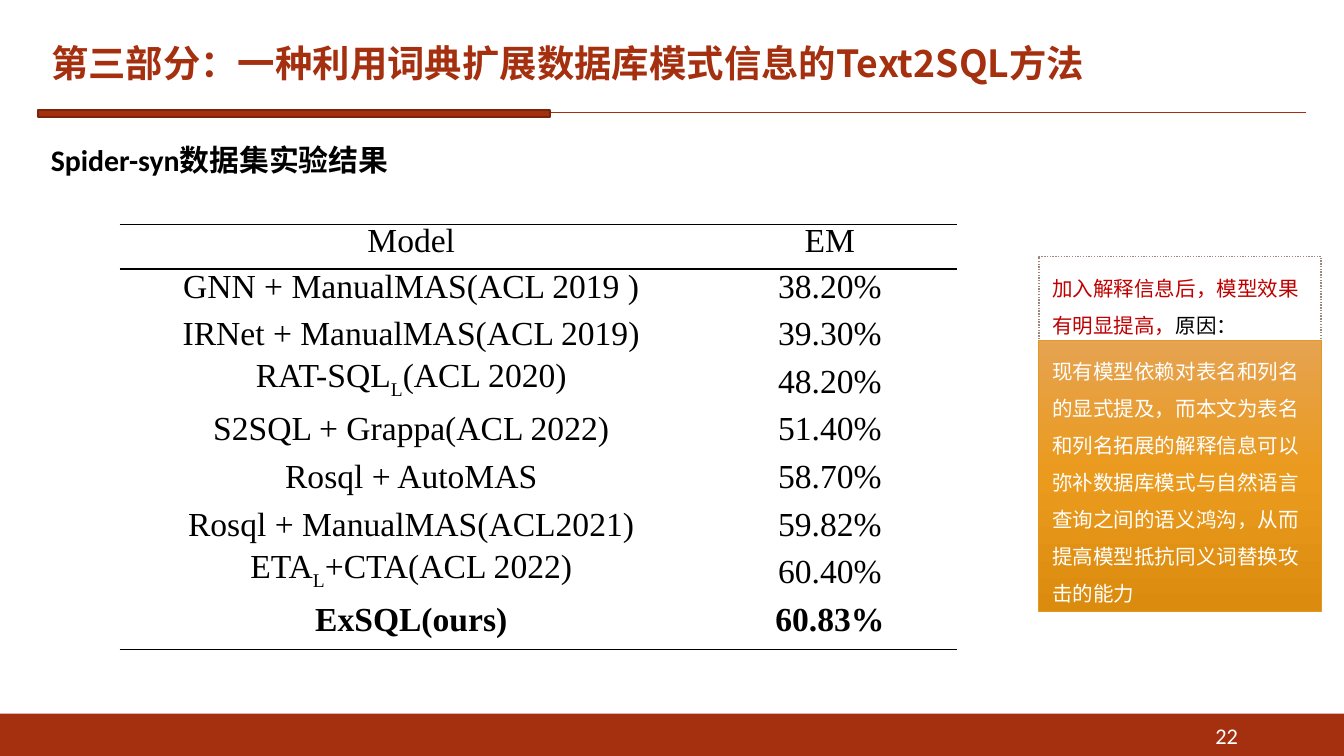
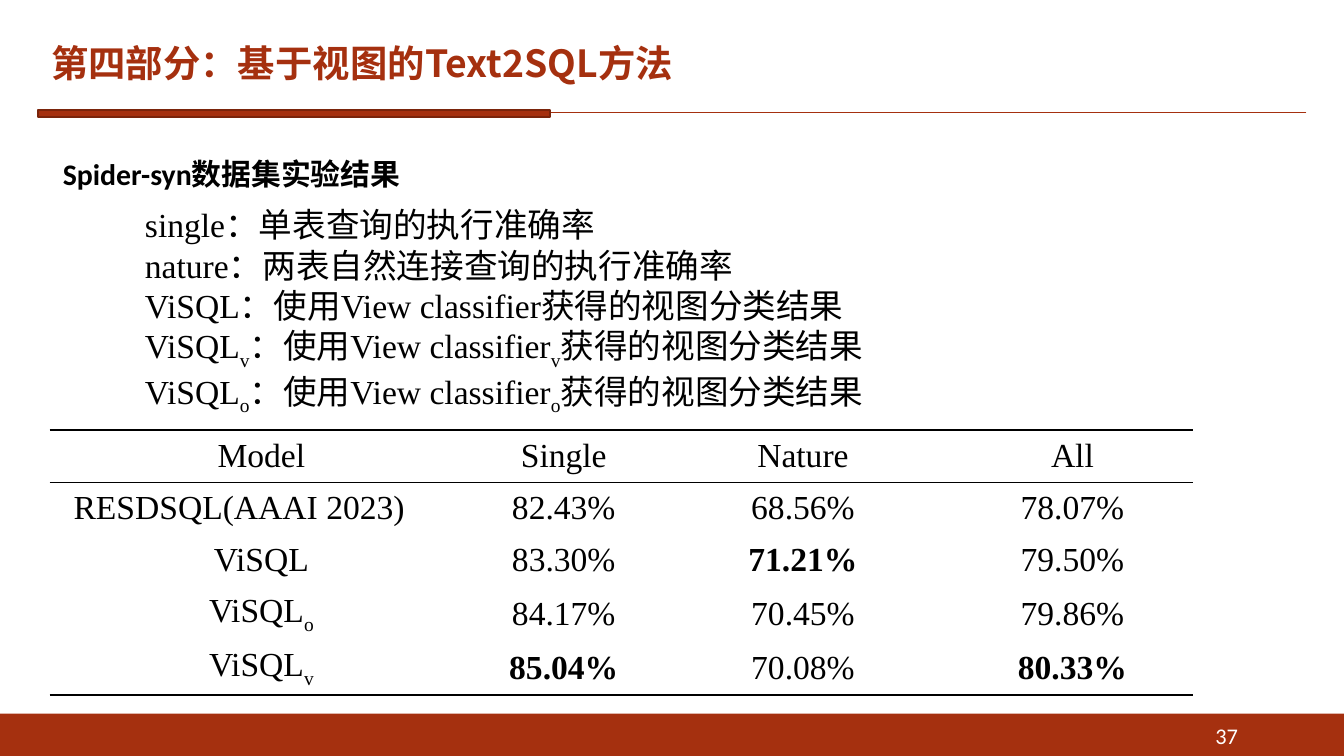
"""Build two Text2SQL result slides with a shared title band, rule and footer."""
import copy

import lxml.etree
import pptx
import pptx.dml.color
import pptx.enum.dml
import pptx.enum.shapes
import pptx.enum.text
import pptx.oxml.ns
import pptx.util

COLORS = {"brand": "A5300F", "edge": "7A240B", "black": "000000", "white": "FFFFFF",
          "red": "C00000", "dots": "9F877D", "amber": "E19825"}
AMBER_STOPS = [(0, "E6A351"), (0.5, "EA9A1C"), (1, "DB8B0E")]
SANS, SERIF, CJK = "Calibri", "Times New Roman", "Noto Sans CJK SC"
WIDTH, MARGIN = 10, 0.28
HEIGHT = WIDTH * 9 / 16
BAND_TOP, RULE_Y = 5.31, 0.84
NO_GRID = "{2D5ABB26-0587-4C30-8999-92F81FD0307C}"

# Text between underscores is subscript; a leading asterisk marks bold.
HEADING = "Spider-syn数据集实验结果"
CALLOUT = ("加入解释信息后，模型效果有明显提高，", "原因：")
REASON = ("现有模型依赖对表名和列名的显式提及，而本文为表名和列名拓展的解释信息可以"
          "弥补数据库模式与自然语言查询之间的语义鸿沟，从而提高模型抵抗同义词替换攻击的能力")
LEGEND = [
    "single：单表查询的执行准确率",
    "nature：两表自然连接查询的执行准确率",
    "ViSQL：使用View classifier获得的视图分类结果",
    "ViSQL_v_：使用View classifier_v_获得的视图分类结果",
    "ViSQL_o_：使用View classifier_o_获得的视图分类结果",
]
SLIDES = [
    {
        "title": "第三部分：一种利用词典扩展数据库模式信息的Text2SQL方法",
        "title_width": 8.82, "heading_at": (0.28, 0.87), "number": "22",
        "table": {
            "at": (0.89, 1.34), "columns": [4.13, 2.1],
            "heights": [0.33] * 2 + [0.35] + [2.84 / 8] * 8,
            "indent": 0.21, "spacing": pptx.util.Pt(14), "flush": [], "rules": [1, 2, 10],
            "rows": [
                ("", ""),
                ("Model", "EM"),
                ("GNN + ManualMAS(ACL 2019 )", "38.20%"),
                ("IRNet + ManualMAS(ACL 2019)", "39.30%"),
                ("RAT-SQL_L_(ACL 2020)", "48.20%"),
                ("S2SQL + Grappa(ACL 2022)", "51.40%"),
                ("Rosql + AutoMAS", "58.70%"),
                ("Rosql + ManualMAS(ACL2021)", "59.82%"),
                ("ETA_L_+CTA(ACL 2022)", "60.40%"),
                ("*ExSQL(ours)", "*60.83%"),
                ("", ""),
            ],
        },
    },
    {
        "title": "第四部分：基于视图的Text2SQL方法",
        "title_width": 6.57, "heading_at": (0.37, 0.98), "number": "37",
        "table": {
            "at": (0.37, 3.2), "columns": [2.82, 1.68, 1.88, 2.13],
            "heights": [0.39, 0.38, 0.4, 0.4, 0.4],
            "indent": 0.33, "spacing": None, "flush": ["RESDSQL(AAAI 2023)"], "rules": [0, 1, 5],
            "rows": [
                ("Model", "Single", "Nature", "All"),
                ("RESDSQL(AAAI 2023)", "82.43%", "68.56%", "78.07%"),
                ("ViSQL", "83.30%", "*71.21%", "79.50%"),
                ("ViSQL_o_", "84.17%", "70.45%", "79.86%"),
                ("ViSQL_v_", "*85.04%", "70.08%", "*80.33%"),
            ],
        },
    },
]


def inches(*lengths):
    return [pptx.util.Inches(length) for length in lengths]


def rgb(value):
    return pptx.dml.color.RGBColor.from_string(value)


def add_child(parent, tag, **attributes):
    return lxml.etree.SubElement(parent, pptx.oxml.ns.qn(tag), **attributes)


def write(para, text, size, font=SANS, color="black", align="LEFT", spacing=None):
    para.alignment = getattr(pptx.enum.text.PP_ALIGN, align)
    para.line_spacing = spacing
    para.font.size = pptx.util.Pt(size)
    para.font.name = font
    para.font.bold = text.startswith("*")
    para.font.color.rgb = rgb(COLORS[color])
    add_child(para.font._element, "a:ea", typeface=CJK)
    for index, piece in enumerate(text.lstrip("*").split("_")):
        if piece:
            span = para.add_run()
            span.text = piece
            if index % 2:
                span.font._element.set("baseline", "-25000")


def add_text(page, at, lines, size, anchor="TOP", grow=True, **style):
    box = page.shapes.add_textbox(*inches(*at))
    frame = box.text_frame
    fit_frame(frame, anchor, grow)
    for index, line in enumerate(lines):
        write(frame.add_paragraph() if index else frame.paragraphs[0], line, size, **style)


def fit_frame(frame, anchor, grow):
    frame.word_wrap = True
    frame.vertical_anchor = getattr(pptx.enum.text.MSO_ANCHOR, anchor)
    sizing = pptx.enum.text.MSO_AUTO_SIZE
    frame.auto_size = sizing.SHAPE_TO_FIT_TEXT if grow else sizing.NONE


def add_box(page, at, fill=None, line=None, weight=1):
    box = page.shapes.add_shape(pptx.enum.shapes.MSO_SHAPE.RECTANGLE, *inches(*at))
    box.shadow.inherit = False
    if fill:
        box.fill.solid()
        box.fill.fore_color.rgb = rgb(COLORS[fill])
    else:
        box.fill.background()
    if line:
        box.line.color.rgb = rgb(COLORS[line])
        box.line.width = pptx.util.Pt(weight)
    else:
        box.line.fill.background()
    return box


def decorate_layout(layout, page):
    band = add_box(page, (0, BAND_TOP, WIDTH, HEIGHT - BAND_TOP), "brand")
    rule = page.shapes.add_connector(pptx.enum.shapes.MSO_CONNECTOR.STRAIGHT,
                                     *inches(WIDTH - MARGIN, RULE_Y, MARGIN, RULE_Y))
    rule.line.color.rgb = rgb(COLORS["brand"])
    rule.line.width = pptx.util.Pt(0.5)
    add_child(rule._element.spPr, "a:effectLst")
    accent = add_box(page, (MARGIN, 0.82, 3.81, 0.05), "brand", "edge")
    for index, part in enumerate((band, rule, accent)):
        layout.shapes._spTree.insert(2 + index, part._element)


def add_border(cell, side, ruled):
    line = add_child(cell._tc.tcPr, side, w=str(pptx.util.Pt(1)))
    if ruled:
        add_child(add_child(line, "a:solidFill"), "a:srgbClr", val=COLORS["black"])
    else:
        add_child(line, "a:noFill")


def add_table(page, table):
    rows, columns, heights = table["rows"], table["columns"], table["heights"]
    frame = page.shapes.add_table(len(rows), len(columns),
                                  *inches(*table["at"], sum(columns), sum(heights)))
    grid = frame.table
    grid.first_row = grid.horz_banding = False
    grid._tbl.tblPr.find(pptx.oxml.ns.qn("a:tableStyleId")).text = NO_GRID
    for column, width in zip(grid.columns, columns):
        column.width = pptx.util.Inches(width)
    for row_index, (texts, height) in enumerate(zip(rows, heights)):
        grid.rows[row_index].height = pptx.util.Inches(height)
        for cell, text in zip(grid.rows[row_index].cells, texts):
            cell.margin_left = cell.margin_right = pptx.util.Inches(0.07)
            cell.margin_top = cell.margin_bottom = 0
            cell.vertical_anchor = pptx.enum.text.MSO_ANCHOR.MIDDLE
            add_border(cell, "a:lnT", row_index in table["rules"])
            add_border(cell, "a:lnB", row_index + 1 in table["rules"])
            cell.fill.background()
            para = cell.text_frame.paragraphs[0]
            indent = 0 if text in table["flush"] else pptx.util.Inches(table["indent"])
            para._p.get_or_add_pPr().set("indent", str(indent))
            write(para, text, 18, SERIF, align="CENTER", spacing=table["spacing"])


def add_callouts(page):
    left, width = 7.73, 2.1
    finding = add_box(page, (left, 1.91, width, 0.63), line="dots", weight=0.75)
    finding.line.dash_style = pptx.enum.dml.MSO_LINE.ROUND_DOT
    reason = add_box(page, (left, 2.53, width, 2.02), line="amber", weight=0.5)
    reason.fill.gradient()
    reason.fill.gradient_angle = 270
    stops = reason._element.spPr.find(".//" + pptx.oxml.ns.qn("a:gsLst"))
    stops.insert(1, copy.deepcopy(stops[0]))
    for stop, (position, color) in zip(reason.fill.gradient_stops, AMBER_STOPS):
        stop.position = position
        stop.color.rgb = rgb(color)
    for box, text, color in ((finding, CALLOUT[0], "red"), (reason, REASON, "white")):
        fit_frame(box.text_frame, "TOP", True)
        write(box.text_frame.paragraphs[0], text, 11, color=color, spacing=1.5)
    span = finding.text_frame.paragraphs[0].add_run()
    span.text = CALLOUT[1]
    span.font.color.rgb = rgb(COLORS["black"])


def add_page(deck, layout, content):
    page = deck.slides.add_slide(layout)
    title = page.shapes.title
    title.left, title.top, title.width, title.height = inches(
        MARGIN, 0.17, content["title_width"], 0.63)
    fit_frame(title.text_frame, "MIDDLE", False)
    write(title.text_frame.paragraphs[0], "*" + content["title"], 20, CJK, "brand", spacing=0.9)
    add_text(page, (*content["heading_at"], 4.93, 0.46), ["*" + HEADING], 16, spacing=1.5)
    add_text(page, (7.06, 5.32, 2.25, 0.3), [content["number"]], 12, "MIDDLE", False,
             color="white", align="RIGHT")
    add_table(page, content["table"])
    return page


def main():
    deck = pptx.Presentation()
    deck.slide_width, deck.slide_height = inches(WIDTH, HEIGHT)
    layout = deck.slide_layouts[5]
    results, views = [add_page(deck, layout, content) for content in SLIDES]
    decorate_layout(layout, results)
    add_callouts(results)
    add_text(views, (0.98, 1.47, 8.11, 1.62), LEGEND, 18, font=SERIF)
    deck.save("out.pptx")


if __name__ == "__main__":
    main()
